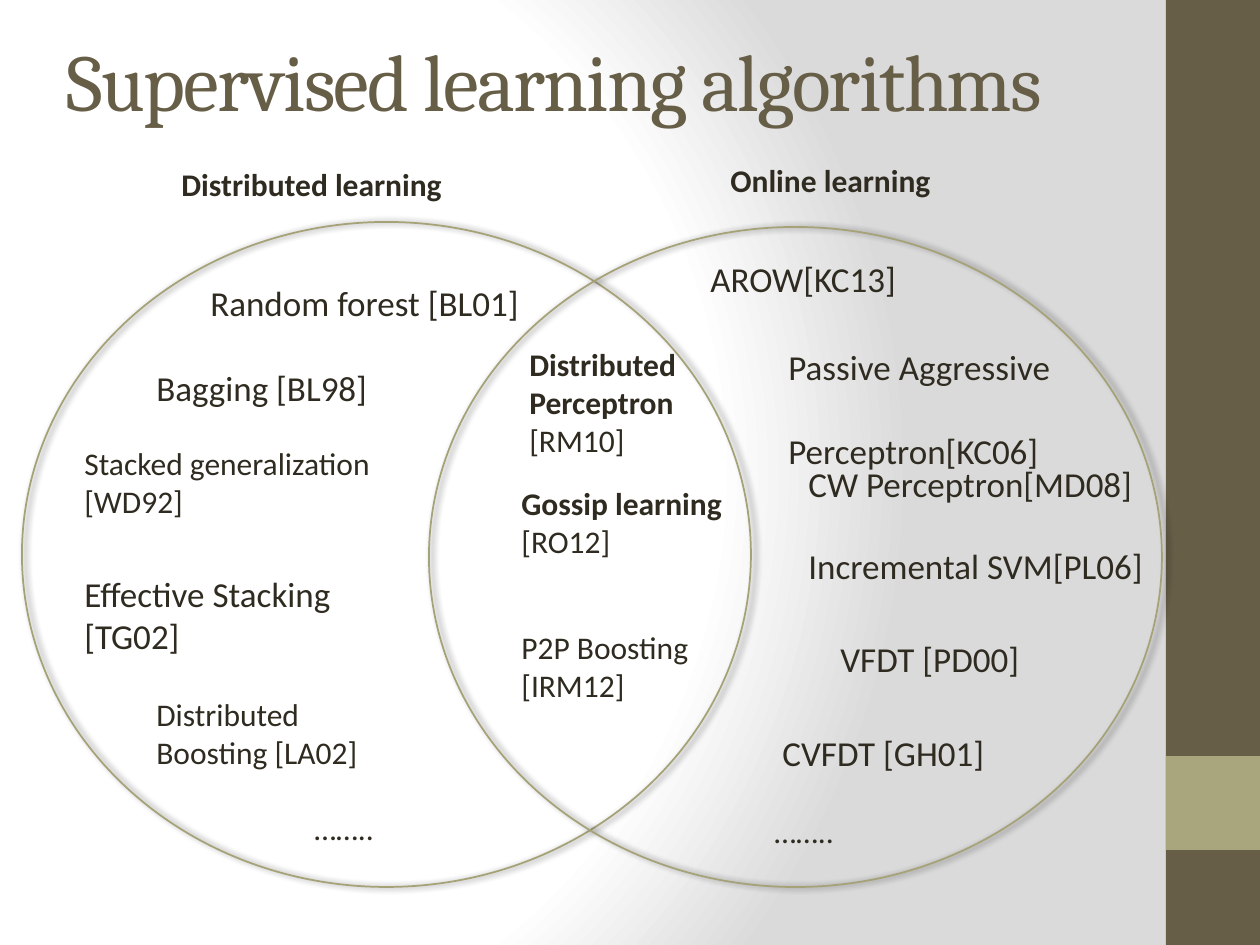
import pptx
import pptx.dml.color
import pptx.enum.shapes
import pptx.enum.text
import pptx.oxml
import pptx.util

PX = pptx.util.Inches(1) / 126
NAMESPACE = 'xmlns:a="http://schemas.openxmlformats.org/drawingml/2006/main"'
BROWN, OLIVE, OUTLINE, INK = "675E47", "A9A57C", "A6A278", "2F2B20"

# Text, left, top, width, height, format
HEADINGS = [
    ("Distributed learning", 169, 159, 291, 50, {"bold_lines": 1}),
    ("Online learning", 718, 155, 228, 50, {"bold_lines": 1}),
]
DISTRIBUTED = [
    ("Random forest [BL01]", 198, 275, 338, 55, {"size": 20}),
    ("Bagging [BL98]", 144, 360, 238, 55, {"size": 20}),
    ("Stacked generalization\n[WD92]", 72, 438, 529, 89, {"wrap": True}),
    ("Effective Stacking\n[TG02]", 72, 566, 276, 97, {"size": 20}),
    ("Distributed \vBoosting [LA02]", 144, 689, 229, 89, {}),
    ("……..", 302, 803, 140, 50, {"wrap": True}),
]
BOTH = [
    ("Distributed\nPerceptron\n[RM10]", 517, 339, 174, 127, {"bold_lines": 2}),
    ("Gossip learning\n[RO12]", 509, 478, 228, 89, {"bold_lines": 1}),
    ("P2P Boosting\n[IRM12]", 509, 622, 199, 89, {}),
]
ONLINE = [
    ("AROW[KC13]", 698, 251, 214, 55, {"size": 20}),
    ("Passive Aggressive\nPerceptron[KC06]", 776, 339, 291, 97, {"size": 20, "gap": 24}),
    ("CW Perceptron[MD08]", 796, 456, 354, 55, {"size": 20}),
    ("Incremental SVM[PL06]", 796, 538, 364, 55, {"size": 20}),
    ("VFDT [PD00]", 828, 631, 353, 55, {"size": 20, "wrap": True}),
    ("CVFDT [GH01]", 770, 725, 353, 55, {"size": 20, "wrap": True}),
    ("……..", 762, 806, 140, 50, {"wrap": True}),
]


def px(*lengths):
    return [round(length * PX) for length in lengths]


def color(value):
    return pptx.dml.color.RGBColor.from_string(value)


def set_background(slide):
    """White glow on the left that fades to grey on the right."""
    slide.background.fill.gradient()
    gradient = slide.background._cSld.bg.bgPr.find(pptx.oxml.ns.qn("a:gradFill"))
    stops = "".join(
        f'<a:gs pos="{position}"><a:srgbClr val="{value}"/></a:gs>'
        for position, value in ((0, "FFFFFF"), (75000, "FFFFFF"), (100000, "DADADA"))
    )
    gradient.getparent().replace(gradient, pptx.oxml.parse_xml(
        f'<a:gradFill {NAMESPACE} rotWithShape="1"><a:gsLst>{stops}</a:gsLst>'
        '<a:path path="circle"><a:fillToRect l="20000" t="50000" r="100000" b="50000"/>'
        '</a:path></a:gradFill>'))


def add_bar(slide, left, top, width, height, fill):
    shape = slide.shapes.add_shape(
        pptx.enum.shapes.MSO_SHAPE.RECTANGLE, *px(left, top, width, height))
    shape.shadow.inherit = False
    shape.fill.solid()
    shape.fill.fore_color.rgb = color(fill)
    shape.line.fill.background()


def add_circle(slide, left, top, width, height):
    shape = slide.shapes.add_shape(
        pptx.enum.shapes.MSO_SHAPE.OVAL, *px(left, top, width, height))
    shape.fill.background()
    shape.line.color.rgb = color(OUTLINE)
    shape.line.width = pptx.util.Pt(1)
    shape.shadow.inherit = False
    effects = shape._element.spPr.find(pptx.oxml.ns.qn("a:effectLst"))
    effects.append(pptx.oxml.parse_xml(
        f'<a:outerShdw {NAMESPACE} blurRad="50800" dist="25400" dir="0" rotWithShape="0">'
        '<a:srgbClr val="000000"><a:alpha val="60000"/></a:srgbClr></a:outerShdw>'))


def write_text(frame, text, size=18, font="Calibri", fill=INK, bold_lines=0, gap=0, spacing=0):
    """Write one paragraph a line; the first bold_lines of them are bold."""
    for index, line in enumerate(text.split("\n")):
        paragraph = frame.paragraphs[0] if index == 0 else frame.add_paragraph()
        paragraph.text = line
        paragraph.alignment = pptx.enum.text.PP_ALIGN.LEFT
        if index and gap:
            paragraph.space_before = pptx.util.Pt(gap)
        for run in paragraph.runs:
            run.font.name = font
            run.font.size = pptx.util.Pt(size)
            run.font.bold = index < bold_lines
            run.font.color.rgb = color(fill)
            if spacing:
                run.font._element.set("spc", str(spacing * 100))


def add_label(slide, text, left, top, width, height, wrap=False, **text_format):
    frame = slide.shapes.add_textbox(*px(left, top, width, height)).text_frame
    frame.word_wrap = wrap
    frame.auto_size = pptx.enum.text.MSO_AUTO_SIZE.SHAPE_TO_FIT_TEXT
    write_text(frame, text, **text_format)


def set_title(slide, text):
    title = slide.shapes.title
    title.left, title.top, title.width, title.height = px(54, 19, 1071, 121)
    title.text_frame.vertical_anchor = pptx.enum.text.MSO_ANCHOR.MIDDLE
    write_text(title.text_frame, text, size=46, font="Cambria", fill=BROWN, spacing=-1)


def main():
    presentation = pptx.Presentation()
    presentation.slide_width, presentation.slide_height = px(1260, 945)
    slide = presentation.slides.add_slide(presentation.slide_layouts[5])

    # Backdrop and side bar
    set_background(slide)
    add_bar(slide, 1166, 0, 94, 945, BROWN)
    add_bar(slide, 1166, 756, 94, 94, OLIVE)
    set_title(slide, "Supervised learning algorithms")

    # Venn diagram
    add_circle(slide, 22, 222, 729, 665)
    add_circle(slide, 429, 227, 733, 660)
    for *label, text_format in HEADINGS + DISTRIBUTED + BOTH + ONLINE:
        add_label(slide, *label, **text_format)

    presentation.save("out.pptx")


if __name__ == "__main__":
    main()
